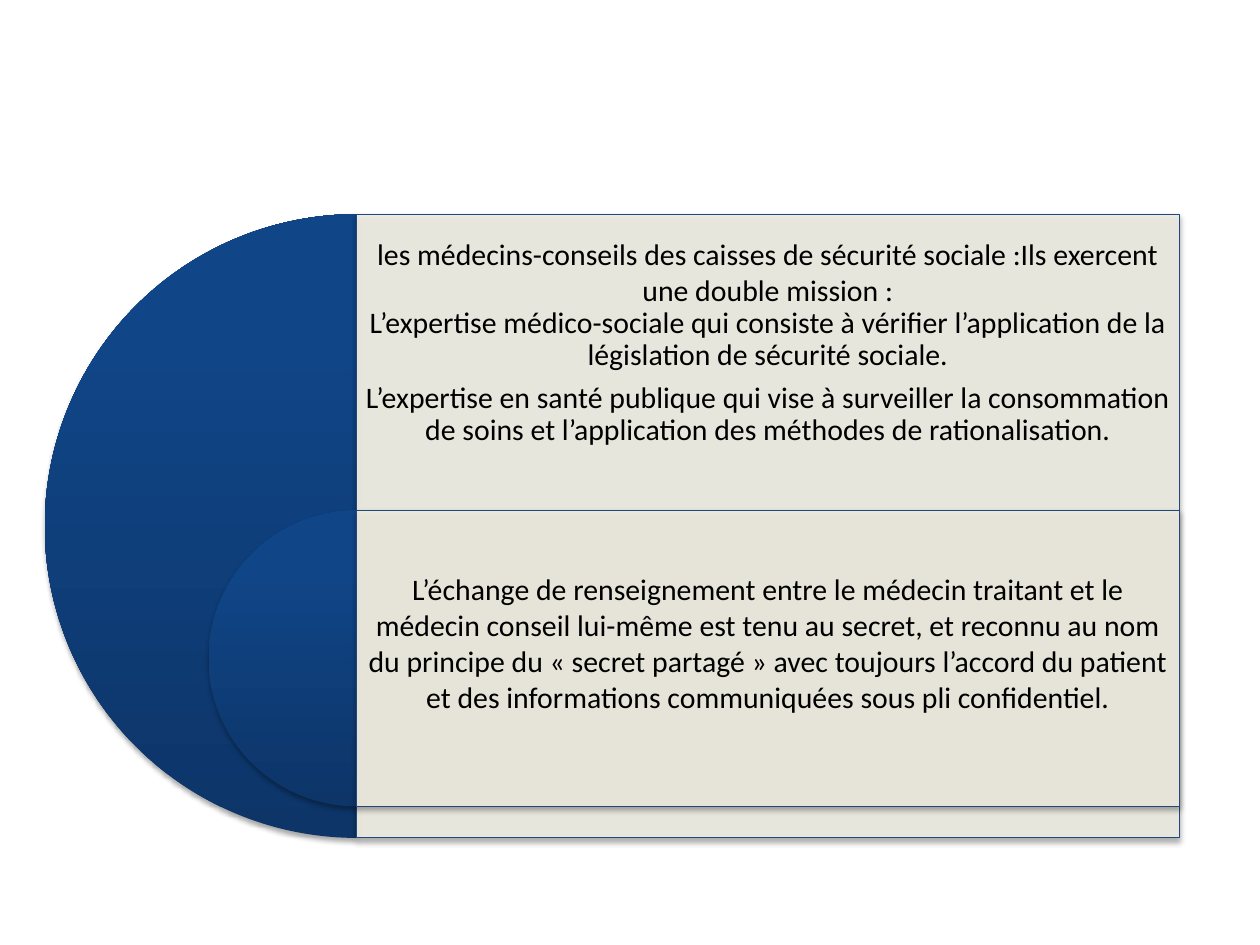
from dataclasses import dataclass

from lxml.etree import SubElement
from pptx import Presentation
from pptx.dml.color import RGBColor
from pptx.enum.shapes import MSO_SHAPE
from pptx.enum.text import MSO_ANCHOR, PP_ALIGN
from pptx.oxml.ns import qn
from pptx.util import Inches, Pt

COLORS = {
    "deep": "0D3568", "mid": "104587", "top": "0E458A",
    "panel": "EEECE1", "line": "1F497D", "text": "000000", "shade": "000000",
}
STOPS = ((0, "deep"), (80, "mid"), (100, "top"))
LEFT, WIDTH = 2.83, 6.53  # panels start at the centre of the half discs
ROW = 2.35                # height of one text row
PAD = 0.07


@dataclass
class Level:
    top: float
    size: float   # disc diameter and panel height
    foot: float   # extra space under the text
    paras: tuple[str, ...]


LEVELS = (
    Level(1.7, 4.95, 0.33, (
        "les médecins-conseils des caisses de sécurité sociale :Ils exercent "
        "une double mission :",
        "L’expertise médico-sociale qui consiste à vérifier l’application de "
        "la législation de sécurité sociale.",
        "L’expertise en santé publique qui vise à surveiller la consommation "
        "de soins et l’application des méthodes de rationalisation.",
    )),
    Level(1.7 + ROW, ROW, 0.25, (
        "L’échange de renseignement entre le médecin traitant et le médecin "
        "conseil lui-même est tenu au secret, et reconnu au nom du principe "
        "du « secret partagé » avec toujours l’accord du patient et des "
        "informations communiquées sous pli confidentiel.",
    )),
)


def rgb(name: str) -> RGBColor:
    return RGBColor.from_string(COLORS[name])


def add_shade(shape) -> None:
    """Soft shadow straight below the shape."""
    shape.shadow.inherit = False
    effects = shape._element.spPr.find(qn("a:effectLst"))
    outer = SubElement(effects, qn("a:outerShdw"), blurRad=str(Pt(3.1)),
                       dist=str(Pt(1.8)), dir="5400000", rotWithShape="0")
    color = SubElement(outer, qn("a:srgbClr"), val=COLORS["shade"])
    SubElement(color, qn("a:alpha"), val="35000")


def add_disc(slide, level: Level) -> None:
    """Left half disc, centred on the panel's left edge."""
    disc = slide.shapes.add_shape(
        MSO_SHAPE.PIE, Inches(LEFT - level.size / 2), Inches(level.top),
        Inches(level.size), Inches(level.size))
    disc.adjustments[0], disc.adjustments[1] = 54, 162
    disc.fill.gradient()
    disc.fill.gradient_angle = 90
    stops = disc._element.spPr.find(qn("a:gradFill")).find(qn("a:gsLst"))
    stops.clear()
    for pos, name in STOPS:
        stop = SubElement(stops, qn("a:gs"), pos=str(pos * 1000))
        SubElement(stop, qn("a:srgbClr"), val=COLORS[name])
    disc.line.fill.background()
    add_shade(disc)


def add_panel(slide, level: Level) -> None:
    panel = slide.shapes.add_shape(
        MSO_SHAPE.RECTANGLE, Inches(LEFT), Inches(level.top),
        Inches(WIDTH), Inches(level.size))
    panel.fill.solid()
    panel.fill.fore_color.rgb = rgb("panel")
    color = panel._element.spPr.find(qn("a:solidFill"))[0]
    SubElement(color, qn("a:alpha"), val="90000")
    panel.line.color.rgb = rgb("line")
    panel.line.width = Pt(0.75)
    add_shade(panel)


def add_text(slide, level: Level) -> None:
    box = slide.shapes.add_textbox(
        Inches(LEFT), Inches(level.top), Inches(WIDTH), Inches(ROW))
    frame = box.text_frame
    frame.word_wrap = True
    frame.vertical_anchor = MSO_ANCHOR.MIDDLE
    frame.margin_left = frame.margin_right = frame.margin_top = Inches(PAD)
    frame.margin_bottom = Inches(PAD + level.foot)
    for i, text in enumerate(level.paras):
        para = frame.add_paragraph() if i else frame.paragraphs[0]
        para.alignment = PP_ALIGN.CENTER
        if i:
            para.line_spacing = 0.9
        if 0 < i < len(level.paras) - 1:
            para.space_after = Pt(6)
        run = para.add_run()
        run.text = text
        run.font.name = "Calibri"
        run.font.size = Pt(17)
        run.font.color.rgb = rgb("text")


def main() -> None:
    deck = Presentation()
    deck.slide_width, deck.slide_height = Inches(10), Inches(7.5)
    slide = deck.slides.add_slide(deck.slide_layouts[6])
    # Each level: half disc, panel, then its text
    for level in LEVELS:
        add_disc(slide, level)
        add_panel(slide, level)
        add_text(slide, level)
    deck.save("out.pptx")


if __name__ == "__main__":
    main()
